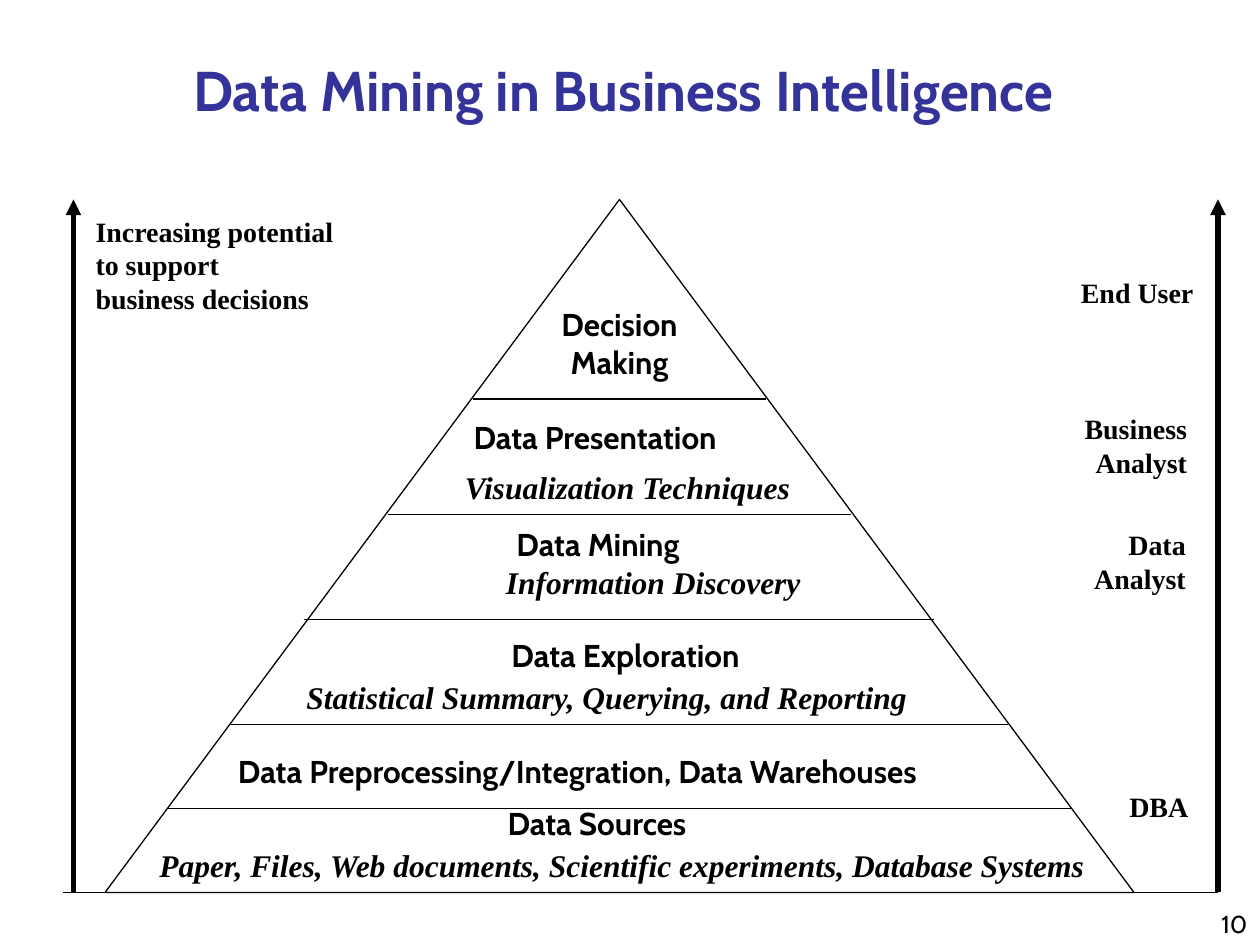
from dataclasses import dataclass
from pptx import Presentation
from pptx.dml.color import RGBColor as Rgb
from pptx.enum.shapes import MSO_CONNECTOR as Conn, MSO_SHAPE as Shape
from pptx.enum.text import MSO_ANCHOR as Anchor, MSO_AUTO_SIZE as Fit, PP_ALIGN as Align
from pptx.oxml.ns import qn
from pptx.util import Inches, Pt
from lxml.etree import SubElement as Sub


@dataclass(frozen=True)
class Theme:
    ink: str = "000000"
    blue: str = "333399"
    sans: str = "Cabin"
    serif: str = "Times New Roman"
    head: int = 32
    body: int = 18
    side: int = 16
    page: int = 14
    thin: float = 0.74
    thick: float = 3


class Deck:
    """Places parts on a grid of 120 columns by 90 rows, 12 to the inch."""

    def __init__(self, theme):
        self.theme = theme
        self.prs = Presentation()
        self.prs.slide_width, self.prs.slide_height = Inches(10), Inches(7.5)
        self.slide = self.prs.slides.add_slide(self.prs.slide_layouts[5])

    def grid(self, *cells):
        return [Inches(cell / 12) for cell in cells]

    def fill_in(self, frame, lines, font, size, color=None, bold=True,
                italic=False, align=Align.LEFT):
        for i, line in enumerate(lines):
            para = frame.paragraphs[0] if i == 0 else frame.add_paragraph()
            para.alignment = align
            run = para.add_run()
            run.text = line
            face = run.font
            face.name, face.size = font, Pt(size)
            face.bold, face.italic = bold, italic
            face.color.rgb = Rgb.from_string(color or self.theme.ink)

    def title(self, text, cells):
        box = self.slide.shapes.title
        box.left, box.top, box.width, box.height = self.grid(*cells)
        frame = box.text_frame
        frame.vertical_anchor, frame.auto_size = Anchor.MIDDLE, Fit.NONE
        self.fill_in(frame, [text], self.theme.sans, self.theme.head,
                     self.theme.blue, align=Align.CENTER)

    def text(self, lines, cells, font, size, wrap=False, anchor=Anchor.TOP, **look):
        frame = self.slide.shapes.add_textbox(*self.grid(*cells)).text_frame
        frame.word_wrap, frame.vertical_anchor = wrap, anchor
        frame.auto_size = Fit.SHAPE_TO_FIT_TEXT if anchor == Anchor.TOP else Fit.NONE
        self.fill_in(frame, lines, font, size, **look)

    def stroke(self, line, width):
        line.color.rgb = Rgb.from_string(self.theme.ink)
        line.width = Pt(width)

    def peak(self, cells):
        shape = self.slide.shapes.add_shape(Shape.FLOWCHART_EXTRACT, *self.grid(*cells))
        shape.shadow.inherit = False
        shape.fill.background()
        self.stroke(shape.line, self.theme.thin)

    def line(self, ends, width, arrow=False):
        rule = self.slide.shapes.add_connector(Conn.STRAIGHT, *self.grid(*ends))
        self.stroke(rule.line, width)
        props = rule._element.spPr
        if arrow:
            Sub(props.find(qn("a:ln")), qn("a:tailEnd"), type="triangle")
        Sub(props, qn("a:effectLst"))


theme = Theme()
deck = Deck(theme)
TOP, BASE = 19, 85

# Title and page number
deck.title("Data Mining in Business Intelligence", (2.4, 5, 114, 7))
deck.text(["10"], (95, 84, 25, 6), theme.sans, theme.page, wrap=True,
          anchor=Anchor.BOTTOM, bold=False, align=Align.RIGHT)

# Pyramid and its level lines: row, first column, last column
deck.peak((10, TOP, 98, BASE - TOP))
for row, start, end in ((77, 16, 102), (69, 22, 96), (59, 29, 89),
                        (49, 37, 81), (38, 45, 73), (BASE, 6, 116)):
    deck.line((start, row, end, row), theme.thin)

# Upward arrows on both sides
for col in (7, 116):
    deck.line((col, BASE, col, TOP), theme.thick, arrow=True)

# Side notes
deck.text(["Increasing potential", "to support", "business decisions"],
          (7.92, 19.8, 25.08, 10.8), theme.serif, theme.side)
for lines, cells in ((["End User"], (101.76, 25.68, 13.08, 4.44)),
                     (["Business", "Analyst"], (101.76, 38.64, 12.48, 7.68)),
                     (["Data", "Analyst"], (102.96, 49.68, 11.16, 7.68)),
                     (["DBA"], (106.32, 74.64, 8.04, 4.44))):
    deck.text(lines, cells, theme.serif, theme.side, align=Align.RIGHT)

# Level names: text, column, row, width, wrap, alignment
for name, col, row, width, wrap, align in (
        ("Decision Making", 51, 28.5, 16, True, Align.CENTER),
        ("Data Presentation", 43.92, 39.24, 29.76, False, Align.LEFT),
        ("Data Mining", 48, 49.44, 23.4, True, Align.LEFT),
        ("Data Exploration", 44.16, 60, 30.84, True, Align.CENTER),
        ("Data Preprocessing/Integration, Data Warehouses",
         21.48, 71, 78, False, Align.LEFT),
        ("Data Sources", 47.16, 76, 21.96, False, Align.LEFT)):
    height = 8.4 if name == "Decision Making" else 4.8
    deck.text([name], (col, row, width, height), theme.sans, theme.body,
              wrap=wrap, align=align)

# Level details: text, column, row, width, wrap
for note, col, row, width, wrap in (
        ("Visualization Techniques", 43.08, 44, 33.84, False),
        ("Information Discovery", 47, 53, 30.48, False),
        ("Statistical Summary, Querying, and Reporting", 28, 64, 60, True),
        ("Paper, Files, Web documents, Scientific experiments, Database Systems",
         14, 80, 93.48, True)):
    deck.text([note], (col, row, width, 4.8), theme.serif, theme.body,
              wrap=wrap, italic=True)

deck.prs.save("out.pptx")
